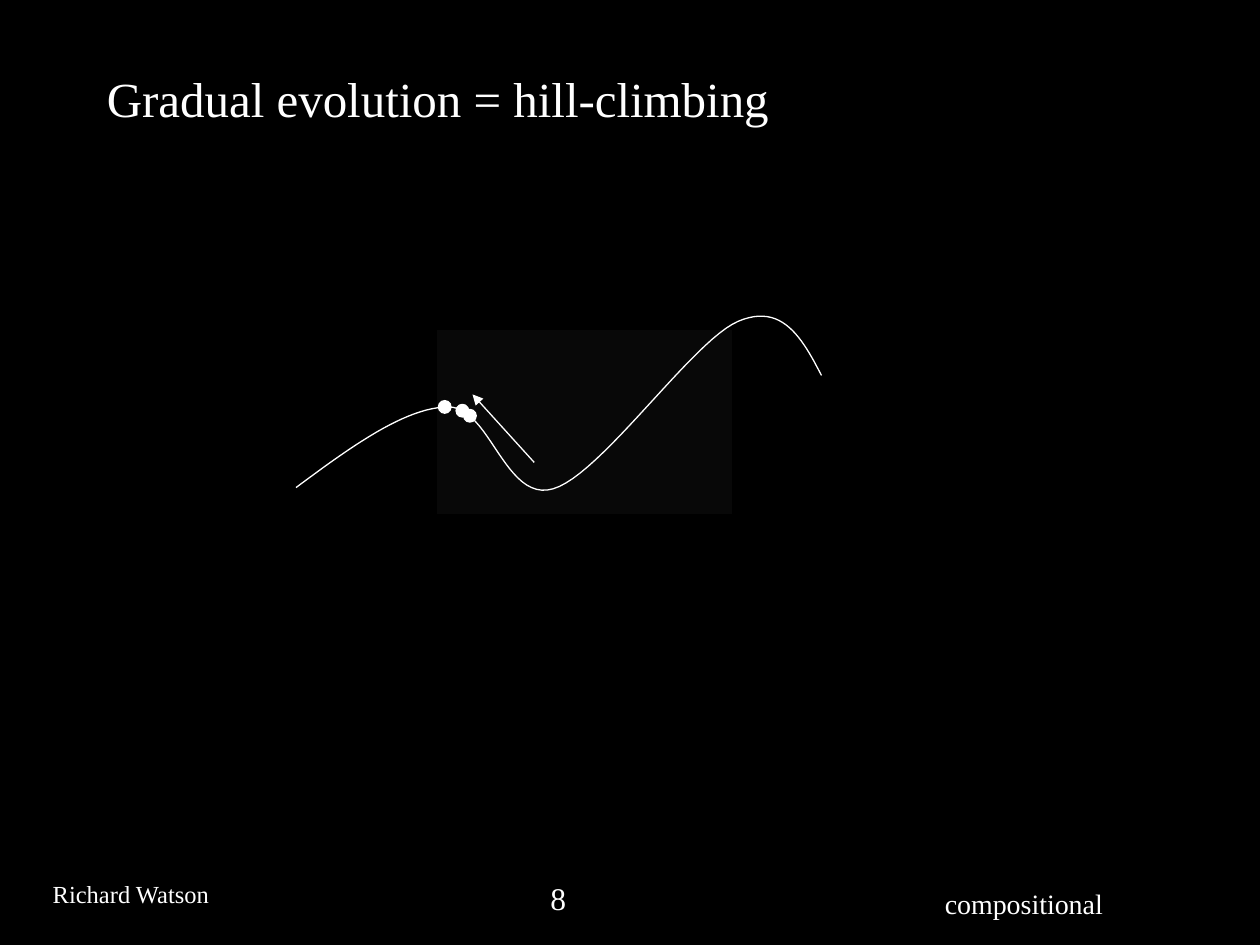
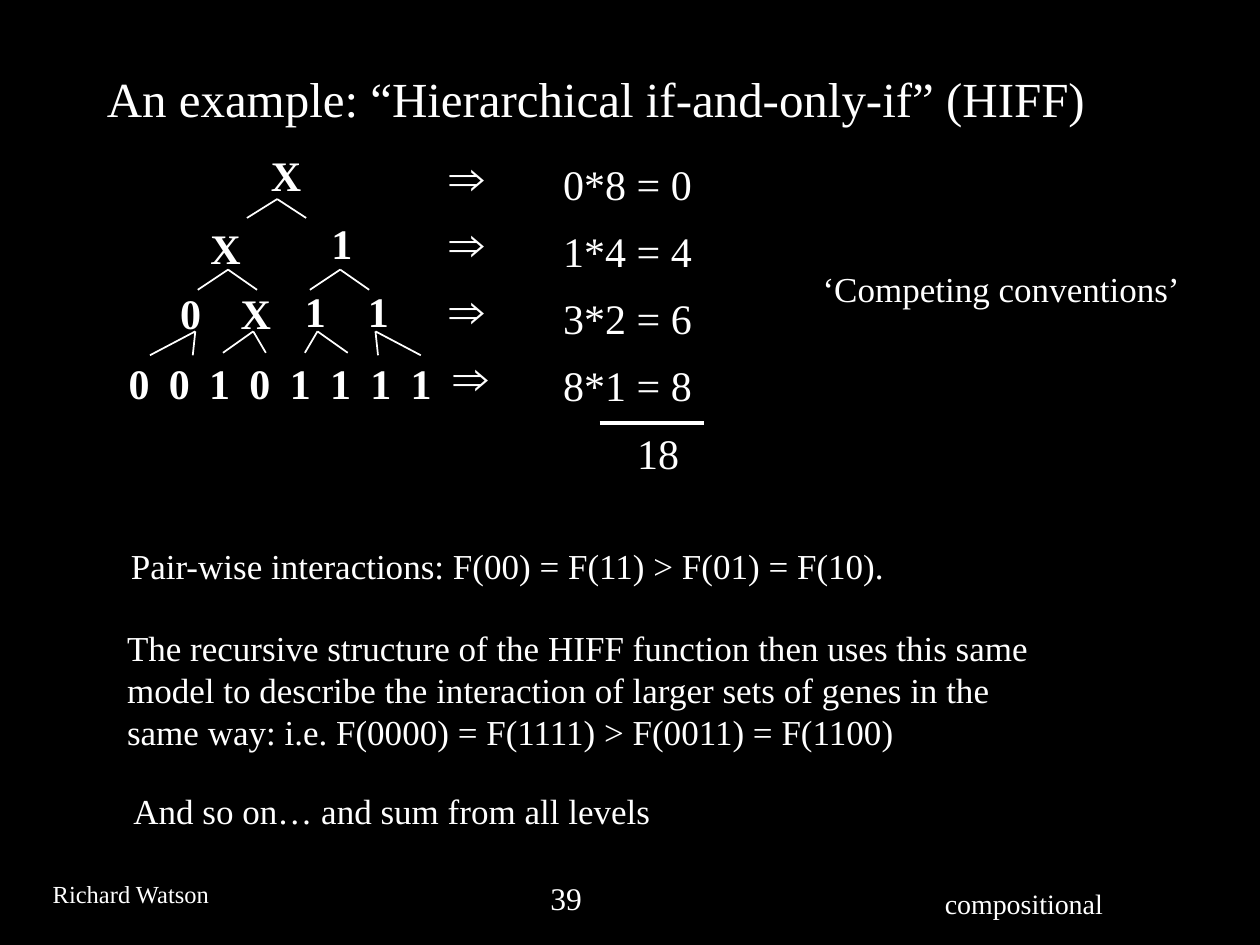
from lxml import etree
from pptx import Presentation
from pptx import util as u
from pptx.dml.color import RGBColor
from pptx.enum import shapes, text
from pptx.oxml.ns import qn

BACKGROUND, INK, PANEL = "000000", "FFFFFF", "080808"
SERIF, SANS = "Times New Roman", "Arial"


def colour(code):
    return RGBColor.from_string(code)


def add_text(page, words, left, top, width, height, size=20, font=SERIF, bold=False,
             wrap=False, inset=True, align=text.PP_ALIGN.LEFT, anchor=text.MSO_ANCHOR.TOP):
    box = page.shapes.add_textbox(*map(u.Inches, (left, top, width, height)))
    frame = box.text_frame
    frame.word_wrap = wrap
    frame.auto_size = text.MSO_AUTO_SIZE.NONE if wrap else text.MSO_AUTO_SIZE.SHAPE_TO_FIT_TEXT
    frame.vertical_anchor = anchor
    frame.margin_left = frame.margin_right = u.Inches(0.1 if inset else 0)
    frame.margin_top = frame.margin_bottom = u.Inches(0.05 if inset else 0)
    para = frame.paragraphs[0]
    para.alignment = align
    span = para.add_run()
    span.text = words
    span.font.size = u.Pt(size)
    span.font.name = font
    span.font.bold = bold
    span.font.color.rgb = colour(INK)


def add_line(page, start, end, weight=1, arrow=False):
    line = page.shapes.add_connector(
        shapes.MSO_CONNECTOR.STRAIGHT, *map(u.Inches, (*start, *end)))
    line.line.color.rgb = colour(INK)
    line.line.width = u.Pt(weight)
    properties = line._element.spPr
    if arrow:
        etree.SubElement(properties.find(qn("a:ln")), qn("a:tailEnd"), type="triangle")
    etree.SubElement(properties, qn("a:effectLst"))


def add_filled(page, kind, left, top, width, height, fill, outlined=False):
    shape = page.shapes.add_shape(kind, *map(u.Inches, (left, top, width, height)))
    shape.shadow.inherit = False
    shape.fill.solid()
    shape.fill.fore_color.rgb = colour(fill)
    if outlined:
        shape.line.color.rgb = colour(INK)
        shape.line.width = u.Pt(0.75)
    else:
        shape.line.fill.background()


def bezier(p0, p1, p2, p3, steps=24):
    """Points along a cubic curve, without its first point."""
    for step in range(1, steps + 1):
        t = step / steps
        s = 1 - t
        yield tuple(s**3 * a + 3 * s * s * t * b + 3 * s * t * t * c + t**3 * d
                    for a, b, c, d in zip(p0, p1, p2, p3))


def add_curve(page, start, segments):
    points, current = [], start
    for segment in segments:
        points.extend(bezier(current, *segment))
        current = segment[-1]
    builder = page.shapes.build_freeform(*map(u.Inches, start), scale=1.0)
    builder.add_line_segments([tuple(map(u.Inches, point)) for point in points], close=False)
    curve = builder.convert_to_shape()
    curve.shadow.inherit = False
    curve.fill.background()
    curve.line.color.rgb = colour(INK)
    curve.line.width = u.Pt(0.75)


def add_page(deck, title, number):
    """A black page with the shared title and footers."""
    page = deck.slides.add_slide(deck.slide_layouts[6])
    page.background.fill.solid()
    page.background.fill.fore_color.rgb = colour(BACKGROUND)
    add_text(page, "compositional", 7.4, 6.99, 2.83, 0.36, size=16, wrap=True)
    add_text(page, "Richard Watson", 0.32, 6.93, 1.46, 0.34, size=14)
    add_text(page, str(number), 4.27, 6.93, 1.24, 0.4, size=18)
    add_text(page, title, 0.75, 0.41, 8.5, 0.73, size=28, wrap=True,
             anchor=text.MSO_ANCHOR.MIDDLE)
    return page


def draw_landscape(page, left, top):
    """Fitness curve with climbers moving up to the lower peak."""
    def place(x, y):
        return left + x, top + y

    add_filled(page, shapes.MSO_SHAPE.RECTANGLE, *place(1.12, 0.22), 2.34, 1.46, PANEL)
    segments = [
        [(0.43, 1.15), (0.87, 0.83), (1.21, 0.83)],
        [(1.54, 0.83), (1.66, 1.59), (2.04, 1.48)],
        [(2.42, 1.37), (3.15, 0.3), (3.51, 0.15)],
        [(3.86, 0), (4.02, 0.29), (4.17, 0.58)],
    ]
    add_curve(page, place(0, 1.47),
              [[place(*point) for point in segment] for segment in segments])
    for x, y in [(1.27, 0.81), (1.13, 0.78), (1.33, 0.85)]:
        add_filled(page, shapes.MSO_SHAPE.OVAL, *place(x, y), 0.1, 0.1, INK, outlined=True)
    add_line(page, place(1.89, 1.27), place(1.4, 0.73), weight=0.75, arrow=True)


def draw_tree(page, left, top):
    nodes = [
        ("X", 1.13, 0), ("X", 0.65, 0.58), ("1", 1.61, 0.54),
        ("0", 0.41, 1.09), ("X", 0.89, 1.09), ("1", 1.4, 1.08), ("1", 1.9, 1.08),
    ]
    nodes += [(gene, 0.32 * index, 1.65) for index, gene in enumerate("00101111")]
    for symbol, x, y in nodes:
        add_text(page, symbol, left + x, top + y, 0.26 if symbol == "X" else 0.18, 0.4,
                 size=24, bold=True, inset=False)
    # Each fork: apex x, apex y, left foot x, right foot x, drop
    forks = [
        (1.18, 0.39, 0.94, 1.41, 0.15),
        (0.79, 0.95, 0.55, 1.02, 0.16), (1.68, 0.95, 1.44, 1.91, 0.16),
        (0.53, 1.44, 0.17, 0.51, 0.19), (0.99, 1.44, 0.75, 1.09, 0.17),
        (1.5, 1.44, 1.4, 1.74, 0.17), (1.96, 1.44, 1.98, 2.32, 0.19),
    ]
    for apex, y, *feet, drop in forks:
        for foot in feet:
            add_line(page, (left + apex, top + y), (left + foot, top + y + drop))


def draw_scores(page, left, top):
    """One arrow and score for each tree level, then their sum."""
    scores = ["0*8 = 0", "1*4 = 4", "3*2 = 6", "8*1 = 8"]
    for level, score in enumerate(scores):
        y = top + 0.53 * level
        nudge = 0.03 if score == scores[-1] else 0
        add_text(page, "⇒", left + nudge, y, 0.51, 0.57, size=28, font=SANS)
        add_text(page, score, left + 1, y + 0.15, 1.2, 0.4, size=24, wrap=True, inset=False)
    add_line(page, (left + 1.29, top + 2.25), (left + 2.12, top + 2.25), weight=2.25)
    add_text(page, "18", left + 1, top + 2.28, 0.92, 0.4, size=24, wrap=True, inset=False,
             align=text.PP_ALIGN.RIGHT)


def draw_explanation(page, left, top):
    notes = [
        ("Pair-wise interactions: F(00) = F(11) > F(01) = F(10).", 0.03, 0, 6.87, 0.44),
        ("The recursive structure of the HIFF function then uses this same model to describe "
         "the interaction of larger sets of genes in the same way: i.e. "
         "F(0000) = F(1111) > F(0011) = F(1100)", 0, 0.65, 7.62, 1.1),
        ("And so on… and sum from all levels", 0.05, 1.95, 7.15, 0.44),
    ]
    for words, x, y, width, height in notes:
        add_text(page, words, left + x, top + y, width, height, wrap=True)


def main():
    deck = Presentation()
    deck.slide_width, deck.slide_height = u.Inches(10), u.Inches(7.5)

    climbing = add_page(deck, "Gradual evolution = hill-climbing", 8)
    draw_landscape(climbing, 2.35, 2.4)

    hiff = add_page(deck, "An example: “Hierarchical if-and-only-if” (HIFF)", 39)
    draw_tree(hiff, 1.02, 1.19)
    draw_scores(hiff, 3.47, 1.11)
    draw_explanation(hiff, 0.91, 4.27)
    add_text(hiff, "‘Competing conventions’", 6.43, 2.07, 3.3, 0.44, wrap=True)

    deck.save("out.pptx")


if __name__ == "__main__":
    main()
